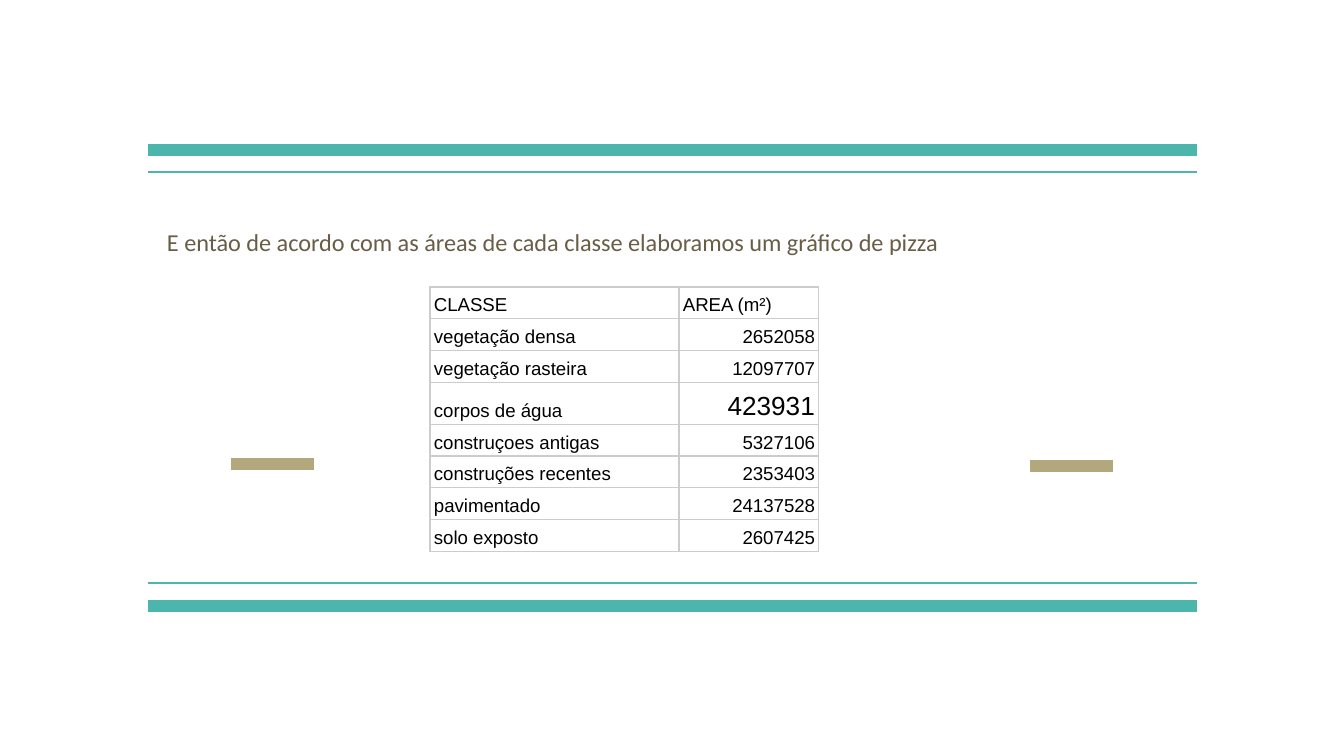
from dataclasses import dataclass

from lxml import etree
from pptx import Presentation
from pptx import util as u
from pptx.dml.color import RGBColor
from pptx.enum import shapes, text
from pptx.oxml import ns

SCALE = 914400 / 134.4


def px(n):
    """Turn px into EMU."""
    return u.Emu(round(n * SCALE))


@dataclass(frozen=True)
class Theme:
    """Colours, fonts and type sizes."""
    teal: str = "4DB6AC"
    sand: str = "B3A77D"
    brown: str = "695D46"
    ink: str = "000000"
    grid: str = "CCCCCC"
    sans: str = "Calibri"
    data: str = "Arial"
    lead: int = 13
    body: int = 10
    large: int = 14
    thick: float = 6
    thin: float = 0.75


class Deck:
    """Draws styled elements on the current slide."""

    def __init__(self, theme, wide, high):
        """Open a deck with one blank slide."""
        self.theme = theme
        self.prs = Presentation()
        self.prs.slide_width, self.prs.slide_height = px(wide), px(high)
        self.slide = self.prs.slides.add_slide(self.prs.slide_layouts[6])

    def rule(self, left, right, y, color, width):
        """Draw a horizontal line."""
        line = self.slide.shapes.add_connector(
            shapes.MSO_CONNECTOR.STRAIGHT, px(left), px(y), px(right), px(y))
        line.line.color.rgb = RGBColor.from_string(color)
        line.line.width = u.Pt(width)
        etree.SubElement(line._element.spPr, ns.qn("a:effectLst"))

    def style(self, par, font, size, color):
        """Format the runs of a paragraph."""
        for run in par.runs:
            run.font.name, run.font.size = font, u.Pt(size)
            run.font.bold = False
            run.font.color.rgb = RGBColor.from_string(color)

    def label(self, words, left, top, wide, high, pad):
        """Add a wrapped text box."""
        frame = self.slide.shapes.add_textbox(
            px(left), px(top), px(wide), px(high)).text_frame
        frame.word_wrap = True
        frame.margin_left = frame.margin_right = px(pad)
        frame.margin_top = frame.margin_bottom = px(pad)
        frame.text = words
        self.style(frame.paragraphs[0], self.theme.sans, self.theme.lead,
                   self.theme.brown)

    def border(self, cell):
        """Rule all four sides of a cell."""
        props = cell._tc.get_or_add_tcPr()
        for spot, side in enumerate(("lnL", "lnR", "lnT", "lnB")):
            line = etree.Element(ns.qn(f"a:{side}"),
                                 w=str(u.Pt(self.theme.thin)))
            fill = etree.SubElement(line, ns.qn("a:solidFill"))
            etree.SubElement(fill, ns.qn("a:srgbClr"), val=self.theme.grid)
            props.insert(spot, line)

    def cell(self, cell, words, size, right):
        """Fill and format one table cell."""
        cell.fill.background()
        self.border(cell)
        cell.vertical_anchor = text.MSO_ANCHOR.BOTTOM
        cell.margin_left = cell.margin_right = px(4)
        cell.margin_top = cell.margin_bottom = px(3)
        cell.text = words
        par = cell.text_frame.paragraphs[0]
        par.line_spacing = 1.15
        if right:
            par.alignment = text.PP_ALIGN.RIGHT
        self.style(par, self.theme.data, size, self.theme.ink)

    def table(self, rows, left, top, cols, high, big):
        """Add a ruled table with numbers on the right."""
        table = self.slide.shapes.add_table(
            len(rows), len(cols), px(left), px(top), px(sum(cols)),
            px(high * len(rows))).table
        table.first_row = table.horz_banding = False
        for col, wide in zip(table.columns, cols):
            col.width = px(wide)
        for r, row in enumerate(rows):
            for c, words in enumerate(row):
                size = self.theme.large if words == big else self.theme.body
                self.cell(table.cell(r, c), words, size, r > 0 and c > 0)


def main():
    """Build and save the slide."""
    theme = Theme()
    deck = Deck(theme, 1344, 756)
    for left, y in ((1030, 466), (231, 464)):
        deck.rule(left, left + 83, y, theme.sand, theme.thick)
    for thick, thin in ((150, 172), (606, 583)):
        deck.rule(148, 1197, thick, theme.teal, theme.thick)
        deck.rule(148, 1197, thin, theme.teal, theme.thin)
    deck.label("E então de acordo com as áreas de cada classe elaboramos "
               "um gráfico de pizza", 154, 214, 853, 370, 13)
    rows = (
        ("CLASSE", "AREA (m²)"),
        ("vegetação densa", "2652058"),
        ("vegetação rasteira", "12097707"),
        ("corpos de água", "423931"),
        ("construçoes antigas", "5327106"),
        ("construções recentes", "2353403"),
        ("pavimentado", "24137528"),
        ("solo exposto", "2607425"),
    )
    deck.table(rows, 430, 287, (249, 140), 29, "423931")
    deck.prs.save("out.pptx")


if __name__ == "__main__":
    main()
